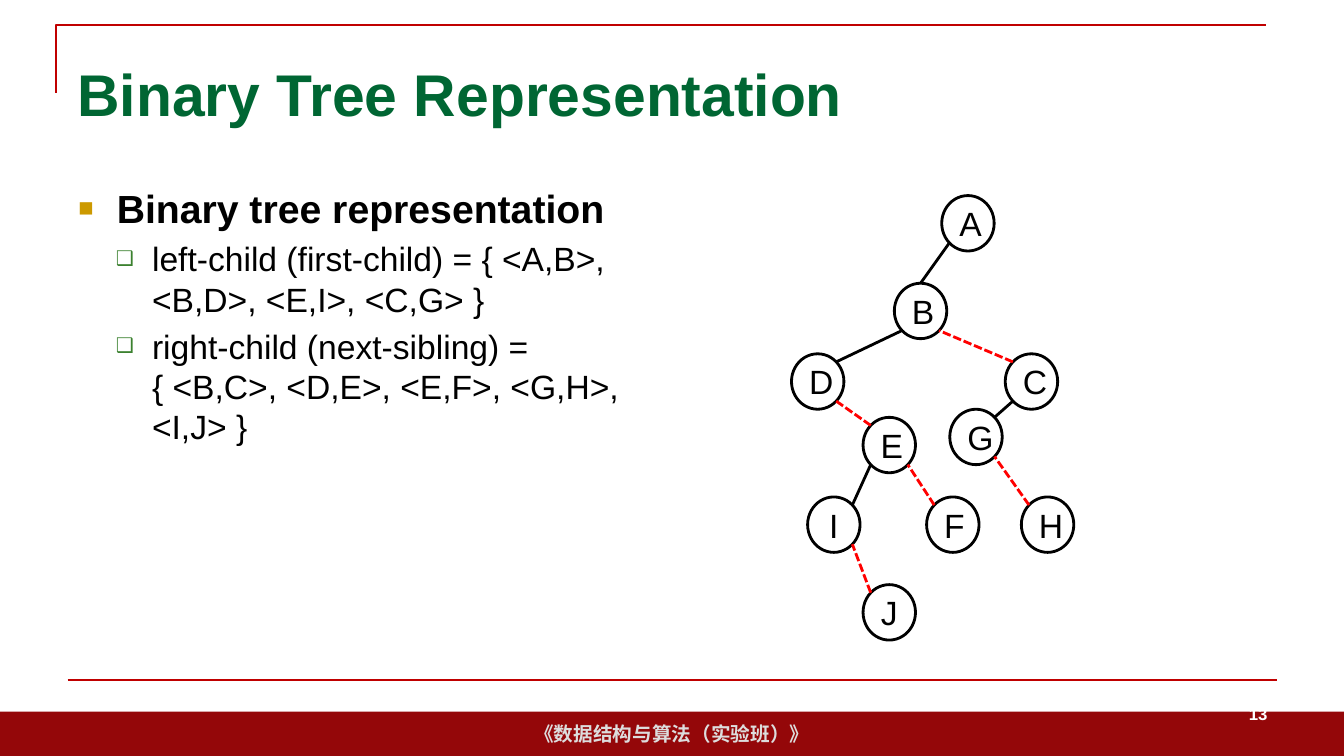
from math import sqrt

from lxml import etree
from pptx import Presentation
from pptx.dml.color import RGBColor
from pptx.enum.dml import MSO_LINE
from pptx.enum.shapes import MSO_CONNECTOR, MSO_SHAPE
from pptx.enum.text import MSO_ANCHOR, PP_ALIGN
from pptx.oxml.ns import qn
from pptx.util import Inches, Pt

BLACK = RGBColor(0x00, 0x00, 0x00)
WHITE = RGBColor(0xFF, 0xFF, 0xFF)
GREY = RGBColor(0xDD, 0xDD, 0xDD)
GREEN = RGBColor(0x00, 0x66, 0x33)
LEAF = RGBColor(0x3B, 0x81, 0x2F)
GOLD = RGBColor(0xCC, 0x99, 0x00)
RED = RGBColor(0xFF, 0x00, 0x00)
RULE = RGBColor(0xC0, 0x00, 0x00)
MAROON = RGBColor(0x94, 0x07, 0x09)

LEFT, CENTER, RIGHT = PP_ALIGN.LEFT, PP_ALIGN.CENTER, PP_ALIGN.RIGHT
TOP, MIDDLE = MSO_ANCHOR.TOP, MSO_ANCHOR.MIDDLE
RECT, OVAL = MSO_SHAPE.RECTANGLE, MSO_SHAPE.OVAL
STRAIGHT = MSO_CONNECTOR.STRAIGHT
DASH = MSO_LINE.SQUARE_DOT

NODE_W, NODE_H = 0.52, 0.55
NODES = {
    "A": (9.34, 1.94), "D": (7.85, 3.51), "B": (8.87, 2.81),
    "E": (8.56, 4.14), "F": (9.19, 4.93), "G": (9.42, 4.06),
    "C": (9.97, 3.51), "H": (10.13, 4.93), "I": (8.01, 4.93),
    "J": (8.56, 5.8),
}

# Points on a node's outline, as (x, y) steps from its centre
DIAG = sqrt(0.5)
N, NW, NE = (0, -1), (-DIAG, -DIAG), (DIAG, -DIAG)
SW, SE = (-DIAG, DIAG), (DIAG, DIAG)

CHILDREN = [("AB", N), ("BD", NE), ("EI", NE), ("CG", NE)]
SIBLINGS = ["BC", "DE", "EF", "IJ", "GH"]

POINTS = [
    (0, "Binary tree representation"),
    (1, "left-child (first-child) = { <A,B>, <B,D>, <E,I>, <C,G> }"),
    (1, "right-child (next-sibling) = "
        "{ <B,C>, <D,E>, <E,F>, <G,H>, <I,J> }"),
]
# Per level: size, bold, margin, hanging indent, bullet, its colour and percent
LEVELS = [
    (28, True, 0.38, 0.38, "■", GOLD, 65),
    (24, False, 0.73, 0.36, "❑", LEAF, 60),
]


def add_run(para, text, size, color, bold=False):
    run = para.add_run()
    run.text = text
    font = run.font
    font.name, font.size, font.bold = "Arial", Pt(size), bold
    font.color.rgb = color


def set_frame(shape, anchor, wrap=True):
    frame = shape.text_frame
    frame.word_wrap = wrap
    frame.vertical_anchor = anchor
    return frame


def add_label(slide, box, text, size, color, align):
    shape = slide.shapes.add_textbox(*map(Inches, box))
    para = set_frame(shape, MIDDLE).paragraphs[0]
    para.alignment = align
    add_run(para, text, size, color, True)


def add_line(slide, start, end, color, width, dash=None):
    line = slide.shapes.add_connector(
        STRAIGHT, *map(Inches, (*start, *end)))
    line.line.color.rgb = color
    line.line.width = Pt(width)
    if dash:
        line.line.dash_style = dash
    etree.SubElement(line._element.spPr, qn("a:effectLst"))


def add_bullet(para, mark, color, percent):
    props = para._p.get_or_add_pPr()
    tint = etree.SubElement(props, qn("a:buClr"))
    etree.SubElement(tint, qn("a:srgbClr"), val=str(color))
    etree.SubElement(props, qn("a:buSzPct"), val=str(percent * 1000))
    etree.SubElement(props, qn("a:buFont"), typeface="Arial")
    etree.SubElement(props, qn("a:buChar"), char=mark)


def add_body(slide):
    shape = slide.shapes.add_textbox(
        Inches(0.68), Inches(1.78), Inches(5.89), Inches(4.95))
    frame = set_frame(shape, TOP)
    for i, (level, text) in enumerate(POINTS):
        size, bold, margin, hang, mark, color, percent = LEVELS[level]
        para = frame.add_paragraph() if i else frame.paragraphs[0]
        para.level = level
        para.space_before = Pt(size * 0.2)
        props = para._p.get_or_add_pPr()
        props.set("marL", str(Inches(margin)))
        props.set("indent", str(-Inches(hang)))
        add_bullet(para, mark, color, percent)
        add_run(para, text, size, BLACK, bold)


def add_frame(slide):
    # Footer band
    band = slide.shapes.add_shape(
        RECT, 0, Inches(7.06), Inches(13.33), Inches(0.44))
    band.shadow.inherit = False
    band.fill.solid()
    band.fill.fore_color.rgb = MAROON
    band.line.fill.background()
    para = set_frame(band, MIDDLE, False).paragraphs[0]
    para.alignment = CENTER
    add_run(para, "《数据结构与算法（实验班）》", 14, GREY, True)

    # Corner rule above the title
    path = slide.shapes.build_freeform(Inches(0.56), Inches(0.92))
    path.add_line_segments(
        [(Inches(0.56), Inches(0.25)), (Inches(12.56), Inches(0.25))],
        close=False)
    corner = path.convert_to_shape()
    corner.shadow.inherit = False
    corner.fill.background()
    corner.line.color.rgb = RULE
    corner.line.width = Pt(1.5)

    # Rule above the footer
    add_line(slide, (0.67, 6.75), (12.67, 6.75), RULE, 1.5)


def add_node(slide, name):
    left, top = NODES[name]
    node = slide.shapes.add_shape(
        OVAL, *map(Inches, (left, top, NODE_W, NODE_H)))
    node.shadow.inherit = False
    node.fill.background()
    node.line.color.rgb = BLACK
    node.line.width = Pt(2)
    para = set_frame(node, MIDDLE).paragraphs[0]
    para.alignment = CENTER
    add_run(para, name, 24, BLACK)


def rim(name, side):
    left, top = NODES[name]
    return (left + NODE_W / 2 * (1 + side[0]),
            top + NODE_H / 2 * (1 + side[1]))


def add_tree(slide):
    for name in NODES:
        add_node(slide, name)
    for (parent, child), side in CHILDREN:
        add_line(slide, rim(parent, SW), rim(child, side), BLACK, 2)
    for first, after in SIBLINGS:
        add_line(slide, rim(after, NW), rim(first, SE), RED, 2, DASH)


def main():
    deck = Presentation()
    deck.slide_width, deck.slide_height = Inches(13.33), Inches(7.5)
    slide = deck.slides.add_slide(deck.slide_layouts[6])
    add_frame(slide)
    add_label(slide, (0.67, 0.3, 12, 1.25),
              "Binary Tree Representation", 42, GREEN, LEFT)
    add_body(slide)
    add_label(slide, (9.56, 6.83, 3.11, 0.5), "13", 12, WHITE, RIGHT)
    add_tree(slide)
    deck.save("out.pptx")


if __name__ == "__main__":
    main()
